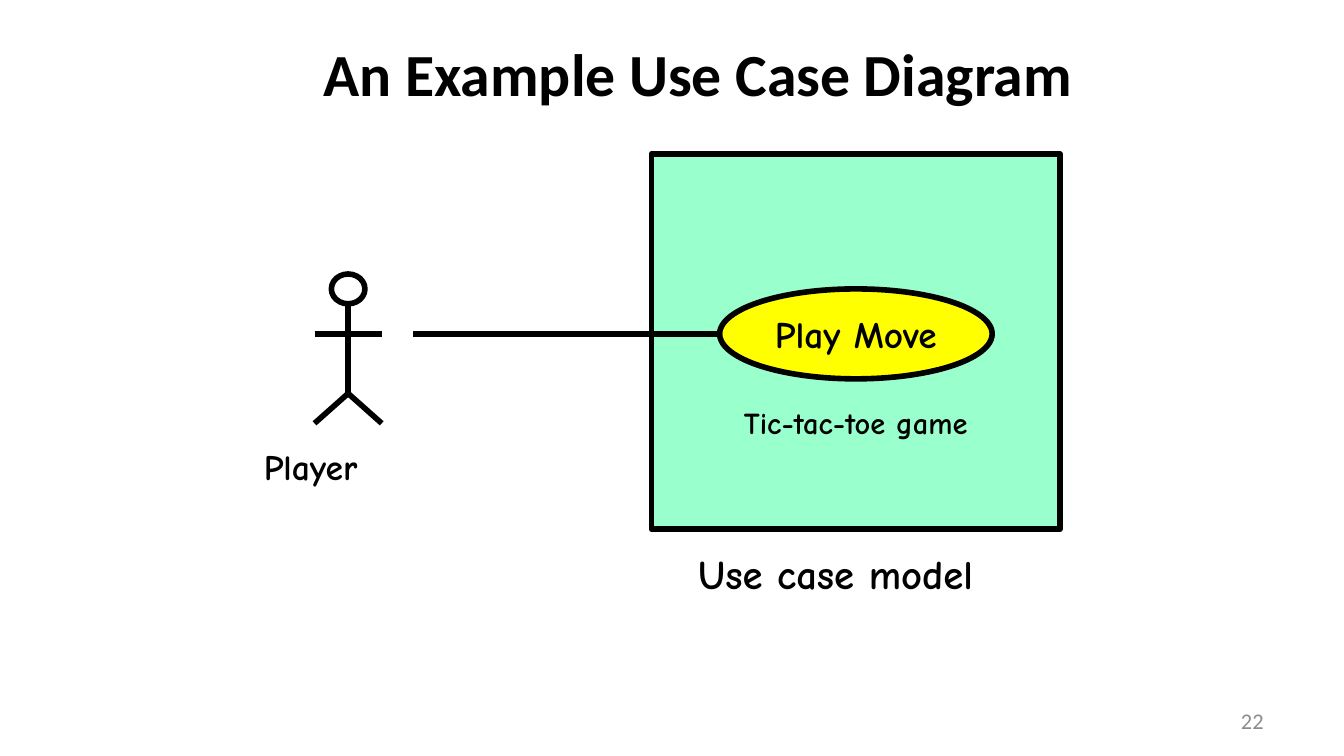
"""Build a slide showing a use case diagram for a player and a game."""
from dataclasses import dataclass

import pptx
import pptx.dml.color
import pptx.enum.shapes
import pptx.enum.text
import pptx.oxml
import pptx.util

Pt = pptx.util.Pt
RGB = pptx.dml.color.RGBColor
SHAPE = pptx.enum.shapes.MSO_SHAPE
ALIGN = pptx.enum.text.PP_ALIGN
ANCHOR = pptx.enum.text.MSO_ANCHOR


@dataclass(frozen=True)
class Theme:
    heading_font: str = "Calibri"
    label_font: str = "Comic Neue"
    ink: RGB = RGB(0x00, 0x00, 0x00)
    muted: RGB = RGB(0x8C, 0x8C, 0x8C)
    system: RGB = RGB(0x99, 0xFF, 0xCC)
    use_case: RGB = RGB(0xFF, 0xFF, 0x00)
    title: float = 32
    model: float = 21.8
    action: float = 20
    actor: float = 19.1
    game: float = 16.3
    number: float = 12
    stroke: float = 3


THEME = Theme()


@dataclass(frozen=True)
class Box:
    x: float
    y: float
    w: float
    h: float

    def lengths(self) -> tuple:
        return tuple(Pt(v) for v in (self.x, self.y, self.w, self.h))


@dataclass(frozen=True)
class Label:
    text: str
    size: float
    font: str = THEME.label_font
    color: RGB = THEME.ink
    bold: bool = True
    align: ALIGN = ALIGN.CENTER
    anchor: ANCHOR = ANCHOR.MIDDLE
    wrap: bool = False
    margin_x: float = 6
    margin_top: float = 3


@dataclass(frozen=True)
class Node:
    box: Box
    kind: SHAPE
    fill: RGB | None = None
    label: Label | None = None


@dataclass(frozen=True)
class Line:
    x1: float
    y1: float
    x2: float
    y2: float


def write(shape, label: Label) -> None:
    tf = shape.text_frame
    tf.text = label.text
    tf.word_wrap = label.wrap
    tf.vertical_anchor = label.anchor
    tf.margin_left = tf.margin_right = Pt(label.margin_x)
    tf.margin_top, tf.margin_bottom = Pt(label.margin_top), Pt(3)
    p = tf.paragraphs[0]
    p.alignment = label.align
    font = p.runs[0].font
    font.name, font.size, font.bold = label.font, Pt(label.size), label.bold
    font.color.rgb = label.color


def draw_text(shapes, box: Box, label: Label) -> None:
    write(shapes.add_textbox(*box.lengths()), label)


def draw_node(shapes, node: Node) -> None:
    s = shapes.add_shape(node.kind, *node.box.lengths())
    s.shadow.inherit = False
    if node.fill is None:
        s.fill.background()
    else:
        s.fill.solid()
        s.fill.fore_color.rgb = node.fill
    s.line.color.rgb = THEME.ink
    s.line.width = Pt(THEME.stroke)
    if node.label:
        write(s, node.label)


def draw_line(shapes, line: Line) -> None:
    ends = (Pt(v) for v in (line.x1, line.y1, line.x2, line.y2))
    c = shapes.add_connector(pptx.enum.shapes.MSO_CONNECTOR.STRAIGHT, *ends)
    c.line.color.rgb = THEME.ink
    c.line.width = Pt(THEME.stroke)
    effects = pptx.oxml.ns.qn("a:effectLst")
    c._element.spPr.append(c._element.spPr.makeelement(effects, {}))


def draw_actor(shapes, x: float, top: float) -> None:
    neck, arms, hips, feet = top + 16, top + 32, top + 64, top + 80
    reach = 18
    group = shapes.add_group_shape().shapes
    draw_node(group, Node(Box(x - 9, top, 18, 16), SHAPE.OVAL))
    for line in (
        Line(x, neck, x, hips),
        Line(x - reach, arms, x + reach, arms),
        Line(x, hips, x - reach, feet),
        Line(x, hips, x + reach, feet),
    ):
        draw_line(group, line)


def draw_title(s) -> None:
    title = s.shapes.title
    title.left, title.top, title.width, title.height = Box(113.8, 4.3, 527.8, 72.7).lengths()
    write(title, Label("An Example Use Case Diagram ", THEME.title, THEME.heading_font,
                       wrap=True, margin_x=0.7))
    p = title.text_frame.paragraphs[0]
    p.line_spacing = 0.94
    p.space_before = Pt(9.3)


def main() -> None:
    prs = pptx.Presentation()
    prs.slide_width, prs.slide_height = Pt(720), Pt(405)
    s = prs.slides.add_slide(prs.slide_layouts[5])
    draw_title(s)
    draw_text(s.shapes, Box(368, 291, 175.5, 31.5),
              Label("Use case model", THEME.model, align=ALIGN.LEFT, anchor=ANCHOR.TOP))
    draw_node(s.shapes, Node(Box(349, 82.5, 219, 201), SHAPE.RECTANGLE, THEME.system,
                             Label("Tic-tac-toe game", THEME.game, margin_top=89)))
    draw_node(s.shapes, Node(Box(385.5, 154.8, 146, 48.2), SHAPE.OVAL, THEME.use_case,
                             Label("Play Move", THEME.action)))
    draw_actor(s.shapes, 186.5, 146.8)
    draw_line(s.shapes, Line(221.2, 178.8, 385.5, 178.8))
    draw_text(s.shapes, Box(135.3, 235.5, 68, 28.5),
              Label("Player", THEME.actor, align=ALIGN.LEFT, anchor=ANCHOR.TOP))
    draw_text(s.shapes, Box(516, 375.3, 168, 21.6),
              Label("22", THEME.number, THEME.heading_font, THEME.muted, False,
                    ALIGN.RIGHT, wrap=True, margin_x=7.2))
    prs.save("out.pptx")


if __name__ == "__main__":
    main()
